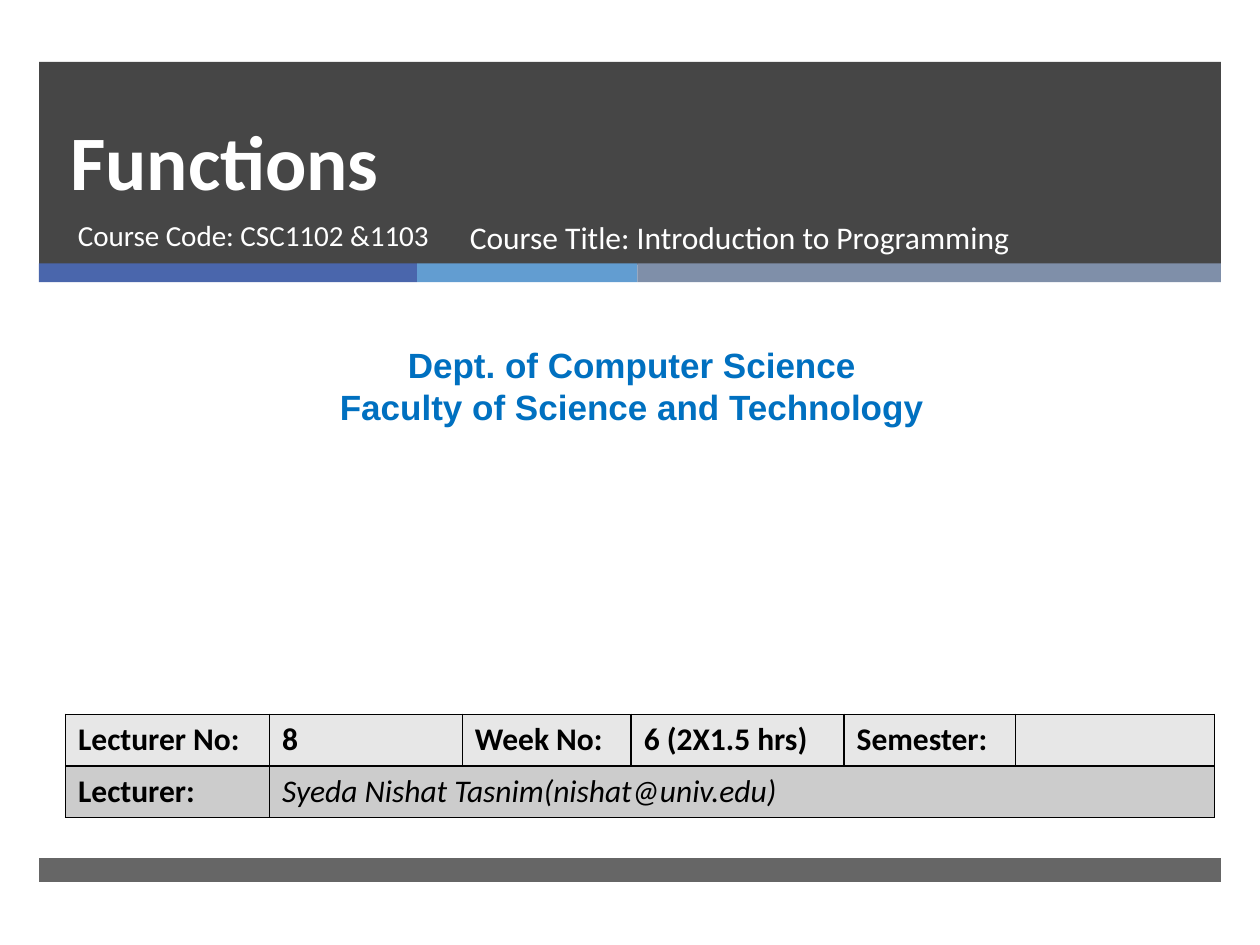
from typing import NamedTuple, Optional

from lxml.etree import SubElement
from pptx import Presentation
from pptx.dml.color import RGBColor
from pptx.enum.shapes import MSO_SHAPE as Preset
from pptx.enum.text import MSO_ANCHOR as Anchor, PP_ALIGN as Align
from pptx.oxml.ns import qn
from pptx.util import Inches, Pt

BLACK = RGBColor(0x00, 0x00, 0x00)
WHITE = RGBColor(0xFF, 0xFF, 0xFF)
CHARCOAL = RGBColor(0x26, 0x26, 0x26)
INDIGO = RGBColor(0x4A, 0x66, 0xAC)
SKY = RGBColor(0x62, 0x9D, 0xD1)
SLATE = RGBColor(0x7F, 0x8F, 0xA9)
BLUE = RGBColor(0x00, 0x70, 0xC0)
LIGHT_GRAY = RGBColor(0xE7, 0xE7, 0xE7)
MID_GRAY = RGBColor(0xCC, 0xCC, 0xCC)


class Area(NamedTuple):
    left: float
    top: float
    width: float
    height: float

    def lengths(self) -> list:
        return [Inches(value) for value in self]


class Band(NamedTuple):
    area: Area
    color: RGBColor
    opacity: int = 100


BANDS = [
    Band(Area(0.31, 0.49, 9.38, 1.61), CHARCOAL, 85),
    Band(Area(0.31, 2.09, 3, 0.15), INDIGO),
    Band(Area(3.31, 2.09, 1.75, 0.15), SKY),
    Band(Area(5.06, 2.09, 4.63, 0.15), SLATE),
    Band(Area(0.31, 6.81, 9.38, 0.19), CHARCOAL, 70),
]

TABLE_AREA = Area(0.52, 5.67, 9.12, 0.82)
COLUMN_WIDTHS = [1.62, 1.53, 1.34, 1.69, 1.36, 1.58]
DETAILS = ["Lecturer No:", "8", "Week No:", "6 (2X1.5 hrs)", "Semester:", ""]
LECTURER = "Syeda Nishat Tasnim(nishat@univ.edu)"


def write(frame, text: str, *, size: float, color: RGBColor,
          font: str = "Calibri", bold: bool = False, italic: bool = False,
          align: Align = Align.LEFT, spacing: Optional[Pt] = None) -> None:
    """Fill a text frame, one paragraph for each line of text."""
    for index, line in enumerate(text.split("\n")):
        para = frame.add_paragraph() if index else frame.paragraphs[0]
        para.alignment = align
        para.line_spacing = spacing
        span = para.add_run()
        span.text = line
        span.font.name = font
        span.font.size = Pt(size)
        span.font.bold = bold
        span.font.italic = italic
        span.font.color.rgb = color


def add_text(slide, area: Area, text: str, *,
             anchor: Anchor = Anchor.TOP, **style) -> None:
    box = slide.shapes.add_textbox(*area.lengths())
    box.text_frame.word_wrap = True
    box.text_frame.vertical_anchor = anchor
    write(box.text_frame, text, **style)


def add_band(slide, band: Band) -> None:
    shape = slide.shapes.add_shape(Preset.RECTANGLE, *band.area.lengths())
    shape.shadow.inherit = False
    shape.line.fill.background()
    shape.fill.solid()
    shape.fill.fore_color.rgb = band.color
    if band.opacity < 100:
        color = shape._element.spPr.find(f".//{qn('a:srgbClr')}")
        SubElement(color, qn("a:alpha"), val=str(band.opacity * 1000))


def style_cell(cell, fill: RGBColor) -> None:
    """Give a cell a plain fill and thin black borders."""
    properties = cell._tc.get_or_add_tcPr()
    for side in ("lnL", "lnR", "lnT", "lnB"):
        border = SubElement(properties, qn(f"a:{side}"), w=str(Pt(1)))
        paint = SubElement(border, qn("a:solidFill"))
        SubElement(paint, qn("a:srgbClr"), val=str(BLACK))
    cell.fill.solid()
    cell.fill.fore_color.rgb = fill


def add_details_table(slide) -> None:
    frame = slide.shapes.add_table(2, len(COLUMN_WIDTHS), *TABLE_AREA.lengths())
    table = frame.table
    for column, width in zip(table.columns, COLUMN_WIDTHS):
        column.width = Inches(width)
    for row, fill in zip(table.rows, (LIGHT_GRAY, MID_GRAY)):
        for cell in row.cells:
            style_cell(cell, fill)
    table.cell(1, 1).merge(table.cell(1, 5))
    for cell, text in zip(table.rows[0].cells, DETAILS):
        if text:
            write(cell.text_frame, text, size=18, color=BLACK, bold=True)
    write(table.cell(1, 0).text_frame, "Lecturer:", size=18, color=BLACK, bold=True)
    write(table.cell(1, 1).text_frame, LECTURER, size=18, color=BLACK, italic=True)


def main() -> None:
    deck = Presentation()
    deck.slide_width = Inches(10)
    deck.slide_height = Inches(7.5)
    slide = deck.slides.add_slide(deck.slide_layouts[6])

    for band in BANDS:
        add_band(slide, band)
    add_text(slide, Area(0.46, 0.49, 8.54, 1.19), "Functions", size=44,
             color=WHITE, bold=True, anchor=Anchor.BOTTOM, spacing=Pt(46))
    add_text(slide, Area(0.52, 1.68, 3.21, 0.53), "Course Code: CSC1102 &1103",
             size=16.6, color=WHITE)
    add_text(slide, Area(0.08, 2.68, 9.87, 0.77),
             "Dept. of Computer Science\nFaculty of Science and Technology",
             size=20, color=BLUE, font="Arial", bold=True, align=Align.CENTER)
    add_details_table(slide)
    add_text(slide, Area(3.63, 1.68, 4.55, 0.53),
             "Course Title: Introduction to Programming", size=18, color=WHITE)

    deck.save("out.pptx")


if __name__ == "__main__":
    main()
